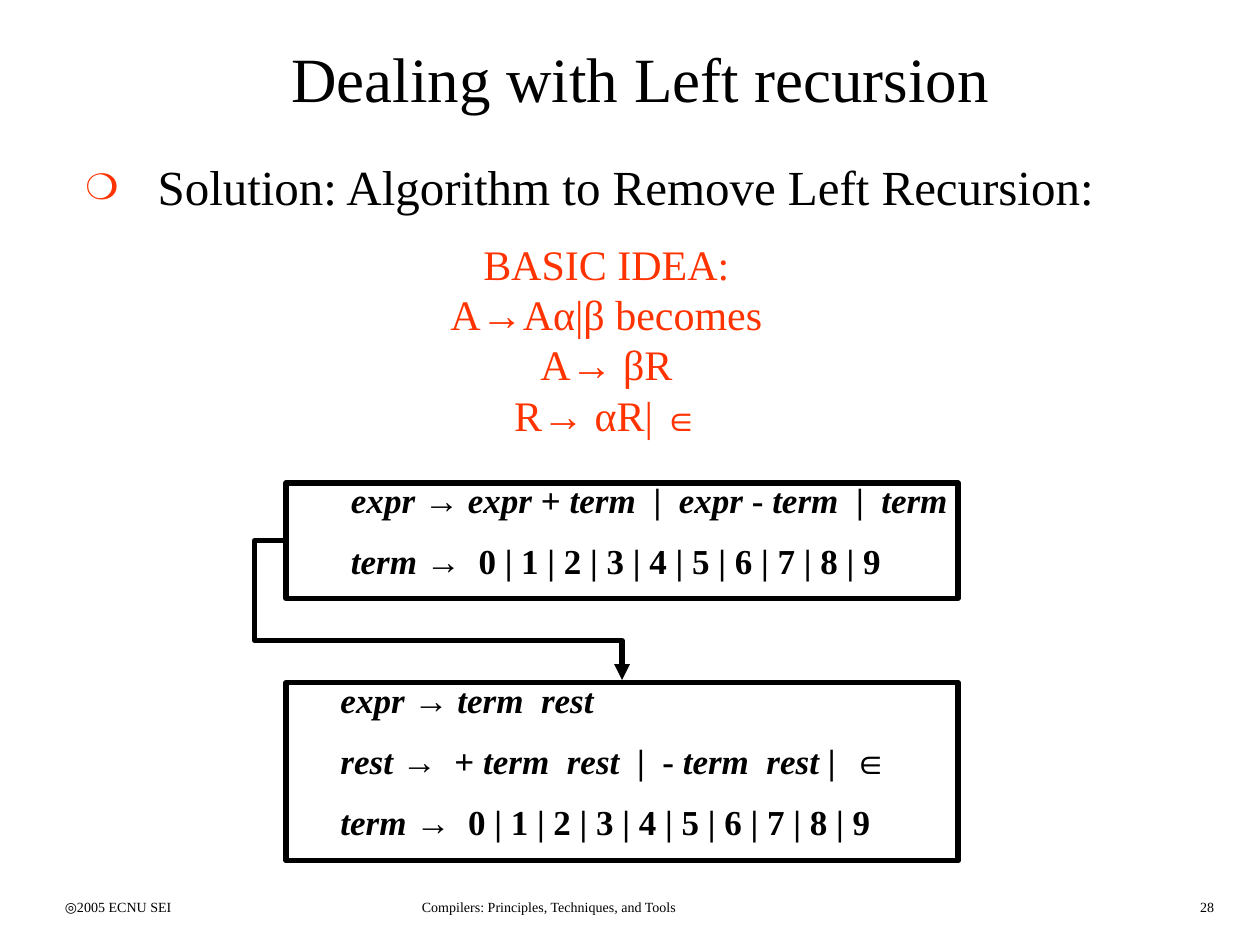
from lxml import etree
from pptx import Presentation
from pptx.dml.color import RGBColor
from pptx.enum import shapes, text
from pptx.oxml import ns
from pptx.util import Pt

COLORS = {"ink": "000000", "accent": "FF3300"}
FONT = "Times New Roman"
LEFT, CENTER, RIGHT = text.PP_ALIGN.LEFT, text.PP_ALIGN.CENTER, text.PP_ALIGN.RIGHT

prs = Presentation()
prs.slide_width, prs.slide_height = Pt(720), Pt(540)
s = prs.slides.add_slide(prs.slide_layouts[6])


def add_text(box, paragraphs, size, color="ink", frame=None, **para):
    """Add a text box; each paragraph is a list of (text, font changes)."""
    sp = s.shapes.add_textbox(*map(Pt, box))
    tf = sp.text_frame
    for name, value in {"word_wrap": True, **(frame or {})}.items():
        setattr(tf, name, value)
    for i, runs in enumerate(paragraphs):
        p = tf.add_paragraph() if i else tf.paragraphs[0]
        for name, value in para.items():
            if i or name != "space_before":
                setattr(p, name, value)
        for words, changes in runs:
            r = p.add_run()
            r.text = words
            r.font.color.rgb = RGBColor.from_string(COLORS[color])
            for name, value in {"name": FONT, "size": Pt(size), **changes}.items():
                setattr(r.font, name, value)
    return sp


def add_xml(parent, tag, **attrs):
    return etree.SubElement(parent, ns.qn(tag), attrs)


# Footer
for left, width, words, align in [
    (30, 149, "◎2005 ECNU SEI", LEFT),
    (234, 268.5, "Compilers: Principles, Techniques, and Tools", LEFT),
    (552, 149, "28", RIGHT),
]:
    add_text((left, 510, width, 18), [[(words, {})]], 8, alignment=align)

# Title
add_text((42, 12, 648, 72), [[("Dealing with Left recursion", {})]], 36,
         frame={"vertical_anchor": text.MSO_ANCHOR.MIDDLE},
         alignment=CENTER, line_spacing=0.8)

# Bulleted heading
sp = add_text((42, 90, 642, 48),
              [[("Solution: Algorithm to Remove Left Recursion:", {})]], 28,
              line_spacing=0.89)
pPr = sp.text_frame.paragraphs[0]._p.get_or_add_pPr()
pPr.set("marL", str(Pt(41)))
pPr.set("indent", str(-Pt(41)))
add_xml(add_xml(pPr, "a:buClr"), "a:srgbClr", val=COLORS["accent"])
add_xml(pPr, "a:buSzPct", val="75000")
add_xml(pPr, "a:buFont", typeface=FONT)
add_xml(pPr, "a:buChar", char="❍")

# Grammars: pieces alternate between italic and upright
digits = ["term ", "→  0 | 1 | 2 | 3 | 4 | 5 | 6 | 7 | 8 | 9"]
before = [["expr ", "→ ", "expr ", "+ ", "term  ", "|  ", "expr ", "- ",
           "term  ", "|  ", "term"], digits]
after = [["expr ", "→ ", "term  rest"],
         ["rest ", "→  + ", "term  rest  ", "|  - ", "term  rest ", "|  ", "∈"],
         digits]
for text_box, frame_box, grammar in [
    ((193.5, 270, 426, 67), (163.5, 276, 384, 66), before),
    ((187.5, 384, 426, 103), (163.5, 390, 384, 102), after),
]:
    rules = [[(piece, {"bold": True, "italic": i % 2 == 0})
              for i, piece in enumerate(rule)] for rule in grammar]
    add_text(text_box, rules, 20, space_before=Pt(11))
    sp = s.shapes.add_shape(shapes.MSO_SHAPE.RECTANGLE, *map(Pt, frame_box))
    sp.shadow.inherit = False
    sp.fill.background()
    sp.line.color.rgb = RGBColor.from_string(COLORS["ink"])
    sp.line.width = Pt(3)

# Arrow from the first grammar, around its left side, to the second
cx = s.shapes.add_connector(shapes.MSO_CONNECTOR.ELBOW,
                            Pt(162), Pt(309), Pt(355.5), Pt(388.5))
cx.line.color.rgb = RGBColor.from_string(COLORS["ink"])
cx.line.width = Pt(3)
add_xml(cx.line._get_or_add_ln(), "a:tailEnd", type="triangle")
spPr = cx._element.spPr
add_xml(spPr, "a:effectLst")
geom = spPr.find(ns.qn("a:prstGeom"))
geom.set("prst", "bentConnector4")
guides = geom.find(ns.qn("a:avLst"))
for name, value in {"adj1": -8500, "adj2": 71700}.items():
    add_xml(guides, "a:gd", name=name, fmla=f"val {value}")

# Basic idea
idea = [[(line, {})] for line in ["BASIC IDEA:", "A→Aα|β becomes", "A→ βR", "R→ αR| "]]
idea[-1].append(("∈", {"size": Pt(20), "bold": True}))
add_text((248.5, 132.5, 196, 122.5), idea, 24, "accent",
         frame={"word_wrap": False}, alignment=CENTER)

prs.save("out.pptx")
